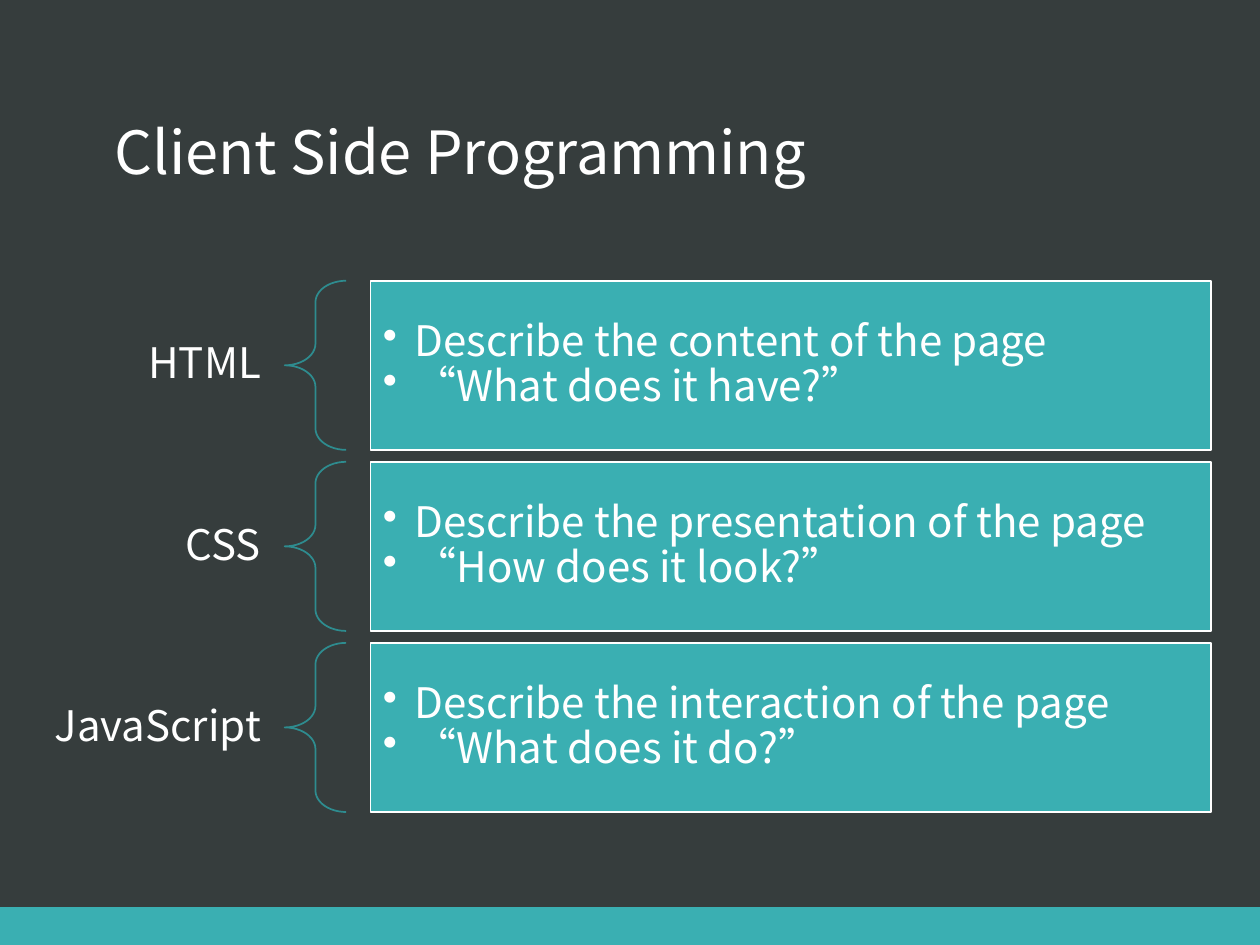
from dataclasses import dataclass

from lxml import etree
from pptx import Presentation
from pptx.dml.color import RGBColor
from pptx.enum.shapes import MSO_SHAPE
from pptx.enum.text import MSO_ANCHOR, PP_ALIGN
from pptx.oxml.ns import qn
from pptx.util import Cm, Pt

RECT, BRACE = MSO_SHAPE.RECTANGLE, MSO_SHAPE.LEFT_BRACE
LEFT, RIGHT = PP_ALIGN.LEFT, PP_ALIGN.RIGHT
MIDDLE, BOTTOM = MSO_ANCHOR.MIDDLE, MSO_ANCHOR.BOTTOM

# Content
TITLE = "Client Side Programming"
ROWS = [
    ("HTML", ["Describe the content of the page", "“What does it have?”"]),
    ("CSS", ["Describe the presentation of the page", "“How does it look?”"]),
    ("JavaScript", ["Describe the interaction of the page", "“What does it do?”"]),
]


@dataclass(frozen=True)
class Theme:
    font: str = "Noto Sans CJK SC"
    back: str = "363D3D"
    teal: str = "3AAFB2"
    dark: str = "2E8C8F"
    white: str = "FFFFFF"
    head: int = 34
    body: int = 24


THEME = Theme()

# Layout in cm
WIDE, HIGH = 25.4, 19.05
BAR = 0.76
TOP, ROW, GAP = 5.66, 3.41, 0.24
LABEL_X, LABEL_W, LABEL_H = -0.48, 6.22, 1.65
BRACE_X, BRACE_W = 5.74, 1.24
CARD_X, CARD_W = 7.47, 16.94


def add_text(shape, lines, size=THEME.body, align=LEFT, anchor=MIDDLE,
             inset=(0.25, 0.25), bullet=False):
    frame = shape.text_frame
    frame.word_wrap = True
    frame.vertical_anchor = anchor
    frame.margin_left = frame.margin_right = Cm(inset[0])
    frame.margin_top = frame.margin_bottom = Cm(inset[1])
    for i, line in enumerate(lines):
        para = frame.paragraphs[0] if i == 0 else frame.add_paragraph()
        para.alignment = align
        para.line_spacing = 0.9
        if bullet:
            props = para._p.get_or_add_pPr()
            props.set("marL", str(Cm(0.64)))
            props.set("indent", str(Cm(-0.64)))
            etree.SubElement(props, qn("a:buChar"), char="•")
        run = para.add_run()
        run.text = line
        run.font.name = THEME.font
        run.font.size = Pt(size)
        run.font.color.rgb = RGBColor.from_string(THEME.white)


def add_shape(slide, kind, box, fill=None, line=None):
    shape = slide.shapes.add_shape(kind, *map(Cm, box))
    shape.shadow.inherit = False
    if fill:
        shape.fill.solid()
        shape.fill.fore_color.rgb = RGBColor.from_string(fill)
    else:
        shape.fill.background()
    if line:
        shape.line.color.rgb = RGBColor.from_string(line)
        shape.line.width = Pt(1)
    else:
        shape.line.fill.background()
    return shape


def add_box(slide, box):
    return slide.shapes.add_textbox(*map(Cm, box))


def main():
    deck = Presentation()
    deck.slide_width, deck.slide_height = Cm(WIDE), Cm(HIGH)
    slide = deck.slides.add_slide(deck.slide_layouts[6])
    slide.background.fill.solid()
    slide.background.fill.fore_color.rgb = RGBColor.from_string(THEME.back)

    # Footer bar and title
    add_shape(slide, RECT, (0, HIGH - BAR, WIDE, BAR), fill=THEME.teal)
    add_text(add_box(slide, (2.06, 0.48, 19.81, 3.43)), [TITLE],
             size=THEME.head, anchor=BOTTOM, inset=(0.25, 0.13))

    # One row per language: label, brace, card
    for i, (label, lines) in enumerate(ROWS):
        top = TOP + i * (ROW + GAP)
        mid = top + (ROW - LABEL_H) / 2
        add_text(add_box(slide, (LABEL_X, mid, LABEL_W, LABEL_H)), [label],
                 align=RIGHT, inset=(0.48, 0.18))
        brace = add_shape(slide, BRACE, (BRACE_X, top, BRACE_W, ROW),
                          line=THEME.dark)
        brace.adjustments[0] = 0.35
        card = add_shape(slide, RECT, (CARD_X, top, CARD_W, ROW),
                         fill=THEME.teal, line=THEME.white)
        add_text(card, lines, bullet=True)

    deck.save("out.pptx")


if __name__ == "__main__":
    main()
